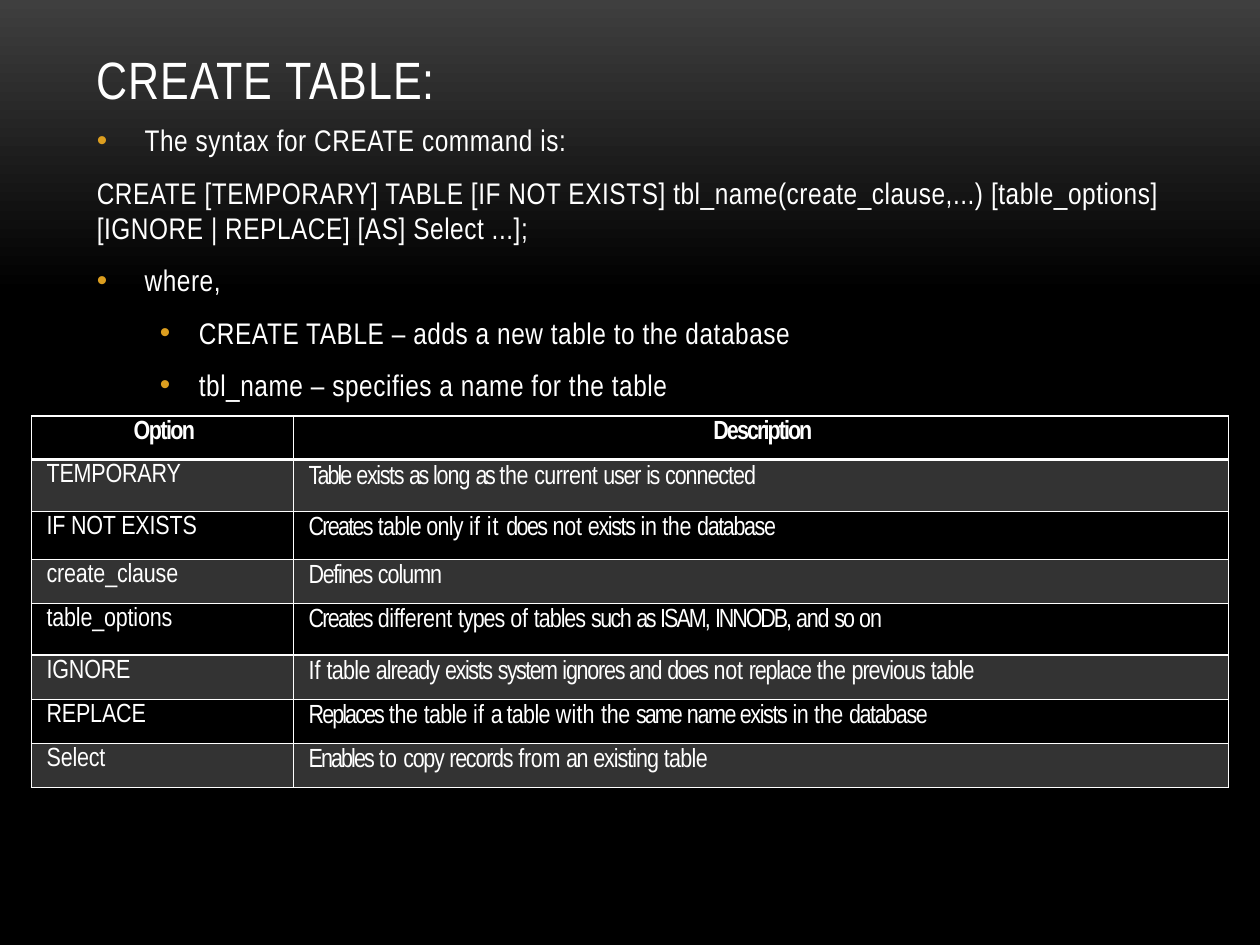
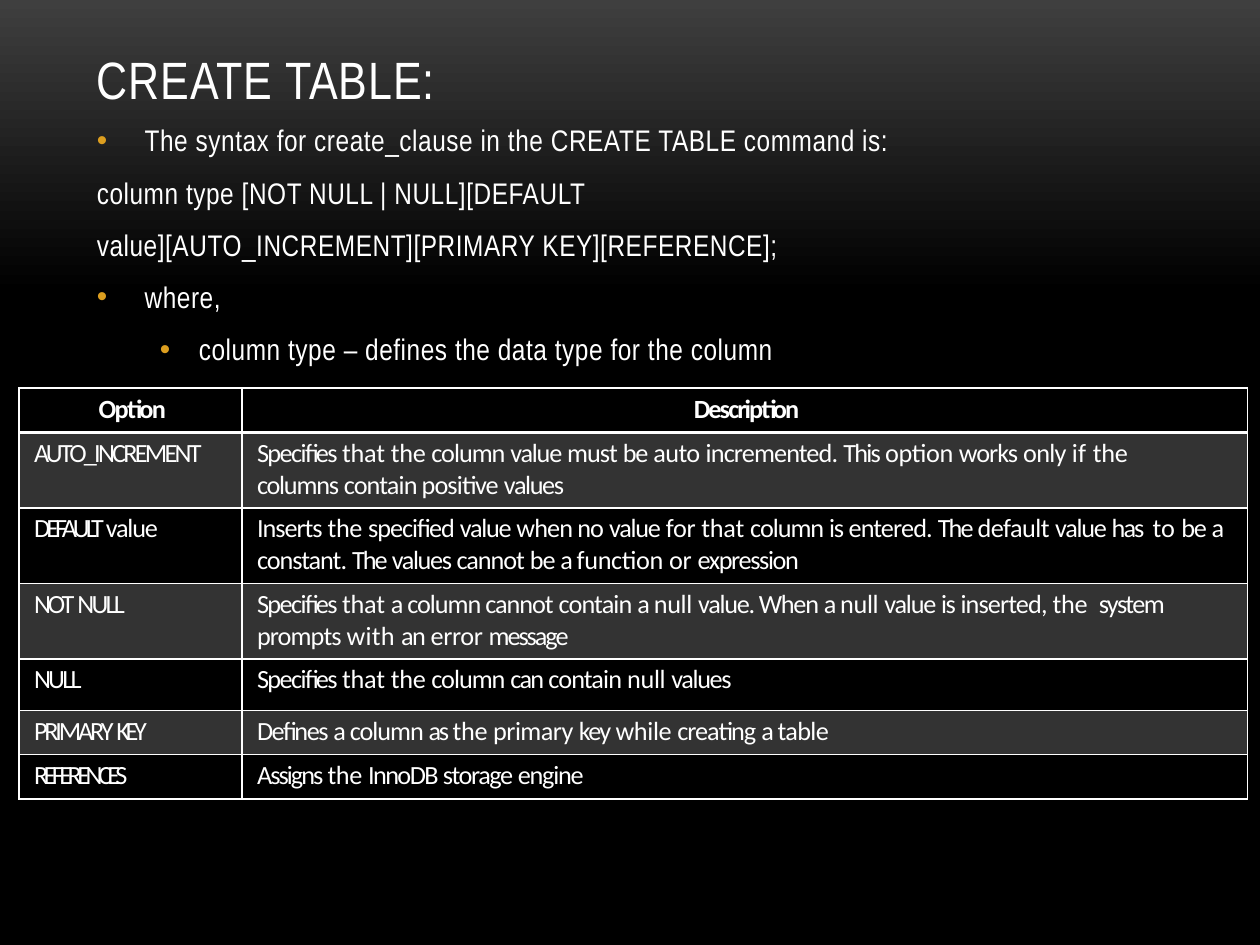
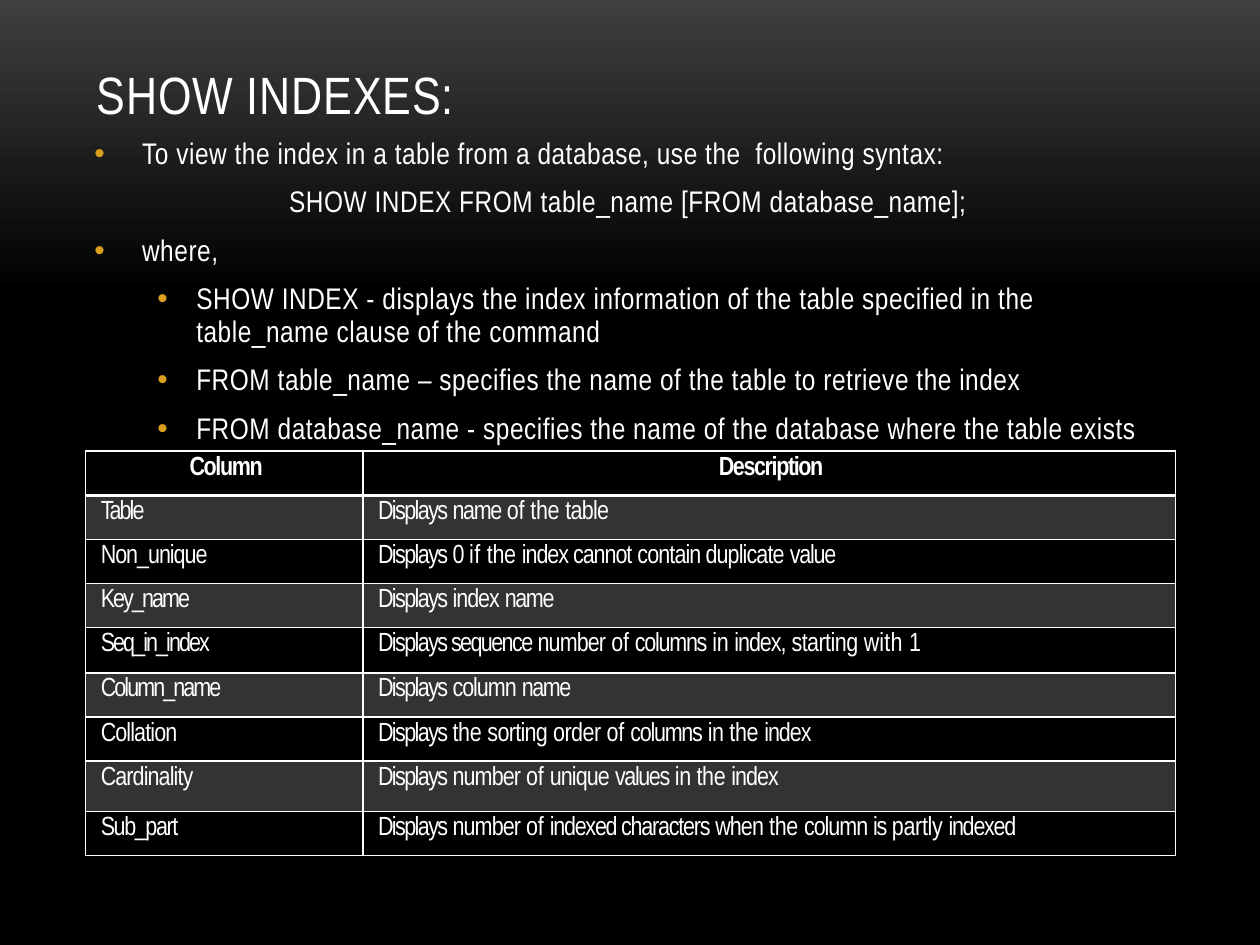
from copy import deepcopy
from itertools import groupby

from lxml.etree import SubElement
from pptx import Presentation
from pptx.dml.color import RGBColor
from pptx.enum.text import MSO_ANCHOR, PP_ALIGN
from pptx.oxml.ns import qn
from pptx.util import Inches, Pt

WHITE, BLACK, GREY, AMBER = "FFFFFF", "000000", "3F3F3F", "DC9E1F"
NARROW, CALIBRI = "Arial Narrow", "Calibri"

# Paragraph levels: left margin and first-line indent
LEVELS = {"plain": (0, 0), "center": (0, 0), "bullet": (0.38, -0.38), "sub": (0.81, -0.31)}

# Letter spacing in points of the words in the tables
SPACING = {
    0.5: "it",
    0.2: "if",
    0.1: "to with",
    0: "If",
    -0.1: "of not that or for",
    -0.2: "the in different from option null function while partly error",
    -0.3: "current default primary starting order auto",
    -0.4: "table only sorting",
    -0.5: "must incremented. when no entered. contain positive prompts inserted, "
          "number duplicate unique on Collation Cardinality",
    -0.6: "long connected column types tables works existing cannot index specified "
          "constant. already previous creating Inserts index, Non_unique",
    -0.7: "user records value value. When ignores replace be columns indexed "
          "characters and engine",
    -0.8: "is exists database Defines copy an name values expression storage 0 1 "
          "Sub_part Column",
    -0.9: "does such Specifies Displays sequence InnoDB Option system",
    -1: "Creates key This can",
    -1.1: "Table Replaces same Enables so has Assigns The ISAM, Description "
          "Key_name Seq_in_index Column_name",
    -1.2: "a INNODB, message",
    -1.4: "as",
    -1.6: "AUTO_INCREMENT NULL",
    -1.7: "NOT",
    -1.8: "PRIMARY",
    -2.2: "DEFAULT",
    -2.5: "KEY",
    -2.6: "REFERENCES",
}
WORD_SPACING = {word: pts for pts, words in SPACING.items() for word in words.split()}

SLIDES = [
    {
        "title": ("CREATE TABLE:", 0.62),
        "body_at": (0.67, 0.92, 8.67, 5.33),
        "line_spacing": 1.0,
        "body": [
            ("bullet", "The syntax for CREATE command is:"),
            ("plain", "CREATE [TEMPORARY] TABLE [IF NOT EXISTS] tbl_name(create_clause,...) "
                      "[table_options] [IGNORE | REPLACE] [AS] Select ...];"),
            ("bullet", "where,"),
            ("sub", "CREATE TABLE – adds a new table to the database"),
            ("sub", "tbl_name – specifies a name for the table"),
        ],
        "table_at": (0.25, 3.3),
        "cols": (2.08, 7.42),
        "heights": (0.35, 0.41, 0.38, 0.35, 0.41, 0.35, 0.35, 0.35),
        "font": NARROW,
        "label_spacing": -0.1,
        "label_inset": 0.03,
        "rows": [
            ("Option", "Description"),
            ("TEMPORARY", "Table exists as long as the current user is connected"),
            ("IF NOT EXISTS", "Creates table only if it does not exists in the database"),
            ("create_clause", "Defines column"),
            ("table_options", "Creates different types of tables such as ISAM, INNODB, and so on"),
            ("IGNORE", "If table already exists system ignores and does not replace "
                       "the previous table"),
            ("REPLACE", "Replaces the table if a table with the same name exists in the database"),
            ("Select", "Enables to copy records from an existing table"),
        ],
    },
    {
        "title": ("CREATE TABLE:", 0.62),
        "body_at": (0.67, 0.92, 8.67, 5.33),
        "line_spacing": 1.0,
        "body": [
            ("bullet", "The syntax for create_clause in the CREATE TABLE command is:"),
            ("plain", "column type [NOT NULL | NULL][DEFAULT"),
            ("plain", "value][AUTO_INCREMENT][PRIMARY KEY][REFERENCE];"),
            ("bullet", "where,"),
            ("sub", "column type – defines the data type for the column"),
        ],
        "table_at": (0.15, 3.08),
        "cols": (1.77, 7.98),
        "heights": (0.35, 0.6, 0.6, 0.6, 0.41, 0.35, 0.35),
        "font": CALIBRI,
        "rows": [
            ("Option", "Description"),
            ("AUTO_INCREMENT", "Specifies that the column value must be auto incremented. "
                               "This option works only if the\ncolumns contain positive values"),
            ("DEFAULT value", "Inserts the specified value when no value for that column is "
                              "entered. The default value has  to be a constant. The values "
                              "cannot be a function or expression"),
            ("NOT NULL", "Specifies that a column cannot contain a null value. When a null "
                         "value is inserted, the  system prompts with an error message"),
            ("NULL", "Specifies that the column can contain null values"),
            ("PRIMARY KEY", "Defines a column as the primary key while creating a table"),
            ("REFERENCES", "Assigns the InnoDB storage engine"),
        ],
    },
    {
        "title": ("SHOW INDEXES:", 0.74),
        "body_at": (0.65, 1.05, 8.67, 2.7),
        "line_spacing": 0.9,
        "body": [
            ("bullet", "To view the index in a table from a database, use the  following syntax:"),
            ("center", "SHOW INDEX FROM table_name [FROM database_name];"),
            ("bullet", "where,"),
            ("sub", "SHOW INDEX - displays the index information of the table specified in "
                    "the table_name clause of the command"),
            ("sub", "FROM table_name – specifies the name of the table to retrieve the index"),
            ("sub", "FROM database_name - specifies the name of the database where the "
                    "table exists"),
        ],
        "table_at": (0.68, 3.58),
        "cols": (2.2, 6.45),
        "heights": (0.35, 0.35, 0.35, 0.35, 0.36, 0.35, 0.35, 0.4, 0.35),
        "font": NARROW,
        "header_spacing": -0.8,
        "rows": [
            ("Column", "Description"),
            ("Table", "Displays name of the table"),
            ("Non_unique", "Displays 0 if the index cannot contain duplicate value"),
            ("Key_name", "Displays index name"),
            ("Seq_in_index", "Displays sequence number of columns in index, starting with 1"),
            ("Column_name", "Displays column name"),
            ("Collation", "Displays the sorting order of columns in the index"),
            ("Cardinality", "Displays number of unique values in the index"),
            ("Sub_part", "Displays number of indexed characters when the column is "
                         "partly indexed"),
        ],
    },
]


def rgb(color):
    return RGBColor.from_string(color)


def style(r, size, font, spacing, bold=False):
    r.font.size, r.font.name, r.font.bold = Pt(size), font, bold
    r.font.color.rgb = rgb(WHITE)
    r.font._element.set("spc", str(round(spacing * 100)))


def indent(p, left, first=0):
    pPr = p._p.get_or_add_pPr()
    pPr.set("marL", str(Inches(left)))
    pPr.set("indent", str(Inches(first)))
    return pPr


def set_background(master):
    fill = master.background.fill
    fill.gradient()
    fill.gradient_angle = 270
    for stop, position, color in zip(fill.gradient_stops, (0, 0.31), (GREY, BLACK)):
        stop.position = position
        stop.color.rgb = rgb(color)
    stops = next(master._element.iter(qn("a:gsLst")))
    last = deepcopy(stops[-1])
    last.set("pos", "100000")
    stops.append(last)


def add_text_box(s, left, top, width, height):
    tf = s.shapes.add_textbox(*map(Inches, (left, top, width, height))).text_frame
    tf.word_wrap = True
    return tf


def add_title(s, text, height):
    tf = add_text_box(s, 0.67, 0.3, 8.67, height)
    tf.vertical_anchor = MSO_ANCHOR.BOTTOM
    tf.text = text
    style(tf.paragraphs[0].runs[0], 30, NARROW, 0.5)


def add_body(s, at, items, line_spacing):
    tf = add_text_box(s, *at)
    tf.text = "\n".join(text for _, text in items)
    for i, (p, (level, _)) in enumerate(zip(tf.paragraphs, items)):
        pPr = indent(p, *LEVELS[level])
        if level in ("bullet", "sub"):
            color = SubElement(pPr, qn("a:buClr"))
            SubElement(color, qn("a:srgbClr")).set("val", AMBER)
            SubElement(pPr, qn("a:buFont")).set("typeface", "Arial")
            SubElement(pPr, qn("a:buChar")).set("char", "•")
        if level == "center":
            p.alignment = PP_ALIGN.CENTER
        p.line_spacing = line_spacing
        p.space_before = Pt(3.4 if i else 0)
        p.space_after = Pt(6)
        style(p.runs[0], 17, NARROW, 0.3)


def spaced_runs(text, fixed):
    """Split the text into stretches of words with equal letter spacing."""
    words, spacing = [], 0
    for word in text.split(" "):
        spacing = WORD_SPACING.get(word, spacing) if fixed is None else fixed
        words.append((word, spacing))
    groups = [(pts, " ".join(w for w, _ in g)) for pts, g in groupby(words, lambda w: w[1])]
    for i, (pts, part) in enumerate(groups):
        yield part + (" " if i < len(groups) - 1 else ""), pts


def set_borders(cell, row):
    tcPr = cell._tc.get_or_add_tcPr()
    widths = {"L": 1, "R": 1, "T": 2 if row == 1 else 1, "B": 2 if row == 0 else 1}
    for side, width in widths.items():
        ln = SubElement(tcPr, qn("a:ln" + side))
        ln.set("w", str(Pt(width)))
        fill = SubElement(ln, qn("a:solidFill"))
        SubElement(fill, qn("a:srgbClr")).set("val", WHITE)


def set_fill(cell, row):
    if row % 2 == 0:
        cell.fill.background()
        return
    cell.fill.solid()
    cell.fill.fore_color.rgb = rgb(WHITE)
    color = next(cell._tc.tcPr.find(qn("a:solidFill")).iter(qn("a:srgbClr")))
    SubElement(color, qn("a:alpha")).set("val", "20000")


def add_option_table(s, data):
    rows, cols, heights = data["rows"], data["cols"], data["heights"]
    frame = s.shapes.add_table(len(rows), len(cols), *map(
        Inches, (*data["table_at"], sum(cols), sum(heights))))
    table = frame.table
    table.first_row = table.horz_banding = False
    for column, width in zip(table.columns, cols):
        column.width = Inches(width)
    for i, (row, height) in enumerate(zip(table.rows, heights)):
        row.height = Inches(height)
        for j, cell in enumerate(row.cells):
            is_header, is_label = i == 0, i > 0 and j == 0
            set_borders(cell, i)
            set_fill(cell, i)
            cell.margin_left = cell.margin_right = cell.margin_bottom = 0
            cell.margin_top = Inches(data.get("label_inset", 0.04) if is_label else 0.04)
            fixed = None
            if is_header:
                fixed = data.get("header_spacing")
            elif is_label:
                fixed = data.get("label_spacing")
            tf = cell.text_frame
            for k, line in enumerate(rows[i][j].split("\n")):
                p = tf.add_paragraph() if k else tf.paragraphs[0]
                indent(p, 0.03 if is_header else 0.12)
                if is_header:
                    p.alignment = PP_ALIGN.CENTER
                for part, spacing in spaced_runs(line, fixed):
                    r = p.add_run()
                    r.text = part
                    style(r, 15, data["font"], spacing, bold=is_header)


def main():
    prs = Presentation()
    prs.slide_width, prs.slide_height = Inches(10), Inches(7.5)
    set_background(prs.slide_master)
    for data in SLIDES:
        s = prs.slides.add_slide(prs.slide_layouts[6])
        add_title(s, *data["title"])
        add_body(s, data["body_at"], data["body"], data["line_spacing"])
        add_option_table(s, data)
    prs.save("out.pptx")


if __name__ == "__main__":
    main()
